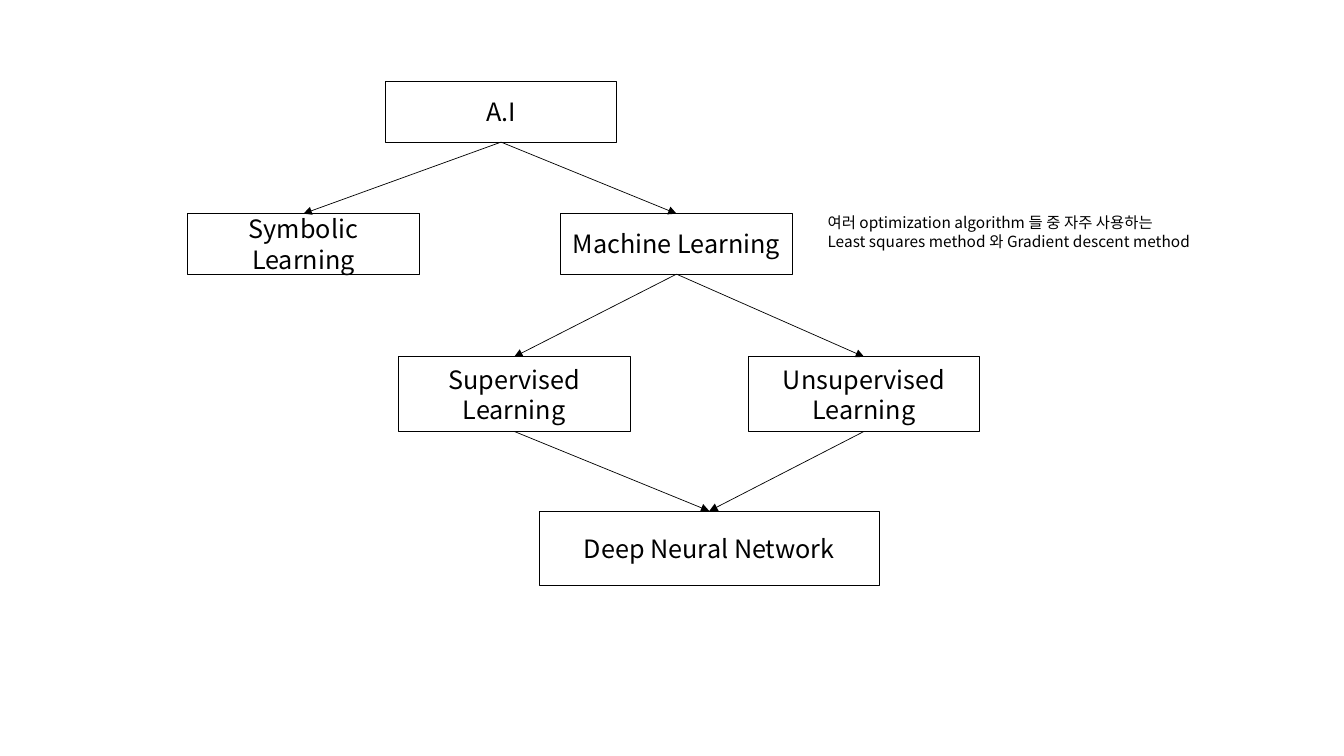
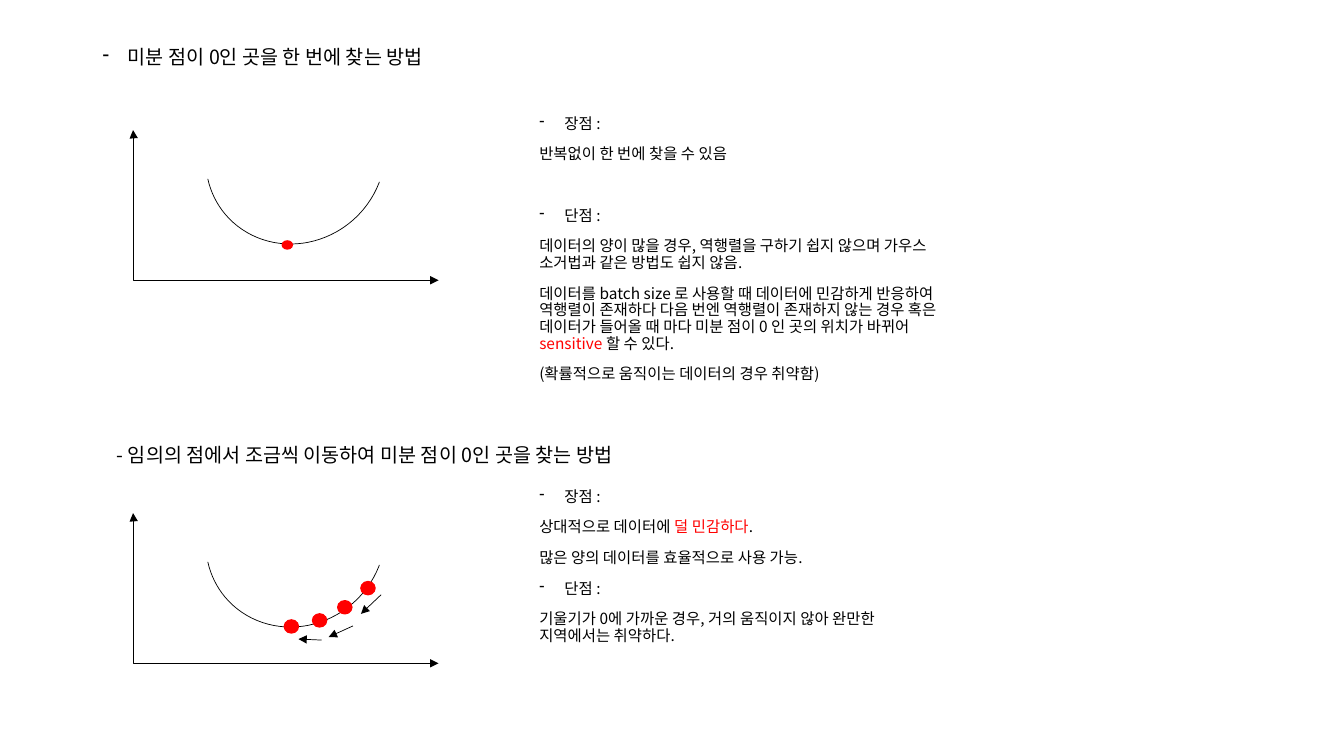
import pptx
import pptx.util
import pptx.dml.color
import pptx.enum.shapes
import pptx.enum.text
import pptx.oxml.ns
import lxml.etree

Inches, Pt = pptx.util.Inches, pptx.util.Pt
SHAPE = pptx.enum.shapes.MSO_SHAPE
CONNECTOR = pptx.enum.shapes.MSO_CONNECTOR
ALIGN, ANCHOR = pptx.enum.text.PP_ALIGN, pptx.enum.text.MSO_ANCHOR
qn = pptx.oxml.ns.qn

FONT, BLACK, RED = "Noto Sans CJK KR", "000000", "FF0000"
BODY_FORMAT = {"line_spacing": 0.9, "space_before": Pt(10)}

# Slide 1: name -> left, top, width, height
BOXES = {
    "A.I": (3.82, 0.81, 2.3, 0.6),
    "Symbolic Learning": (1.86, 2.12, 2.3, 0.6),
    "Machine Learning": (5.56, 2.12, 2.3, 0.6),
    "Supervised Learning": (3.95, 3.54, 2.3, 0.74),
    "Unsupervised Learning": (7.42, 3.54, 2.3, 0.74),
    "Deep Neural Network": (5.35, 5.07, 3.37, 0.74),
}
LINKS = [
    ("A.I", "Symbolic Learning"),
    ("A.I", "Machine Learning"),
    ("Machine Learning", "Supervised Learning"),
    ("Machine Learning", "Unsupervised Learning"),
    ("Supervised Learning", "Deep Neural Network"),
    ("Unsupervised Learning", "Deep Neural Network"),
]
NOTE = ["여러 optimization algorithm 들 중 자주 사용하는",
        "Least squares method 와 Gradient descent method"]

# Slide 2: a paragraph is a string or a list of (text, colour) runs;
# a leading BULLET makes it a dashed item
BULLET = "• "
TITLE_DIRECT = [BULLET + "미분 점이 0인 곳을 한 번에 찾는 방법"]
TITLE_STEPS = ["- 임의의 점에서 조금씩 이동하여 미분 점이 0인 곳을 찾는 방법"]
DIRECT = [
    BULLET + "장점 :",
    "반복없이 한 번에 찾을 수 있음",
    BULLET + "단점 :",
    "데이터의 양이 많을 경우, 역행렬을 구하기 쉽지 않으며 가우스 소거법과 같은 방법도 쉽지 않음.",
    [("데이터를 batch size 로 사용할 때 데이터에 민감하게 반응하여 역행렬이 존재하다 다음 번엔 "
      "역행렬이 존재하지 않는 경우 혹은 데이터가 들어올 때 마다 미분 점이 0 인 곳의 위치가 바뀌어 ", BLACK),
     ("sensitive ", RED), ("할 수 있다.", BLACK)],
    "(확률적으로 움직이는 데이터의 경우 취약함)",
]
STEPS = [
    BULLET + "장점 :",
    [("상대적으로 데이터에 ", BLACK), ("덜 민감하다", RED), (".", BLACK)],
    "많은 양의 데이터를 효율적으로 사용 가능.",
    BULLET + "단점 :",
    "기울기가 0에 가까운 경우, 거의 움직이지 않아 완만한 지역에서는 취약하다.",
]
PLOT_TOPS = [0.68, 4.48]
MINIMUM = (2.8, 2.39, 0.1, 0.08)
STEP_DOTS = [(2.82, 6.15), (3.1, 6.09), (3.35, 5.96), (3.58, 5.77)]
STEP_ARROWS = [(3.78, 5.9, 3.58, 6.09), (3.5, 6.21, 3.26, 6.32), (3.19, 6.35, 2.96, 6.34)]


def rgb(value):
    return pptx.dml.color.RGBColor.from_string(value)


def inches(values):
    return [Inches(v) for v in values]


def add_run(p, text, size, color=BLACK):
    r = p.add_run()
    r.text = text
    for name, value in {"name": FONT, "size": Pt(size)}.items():
        setattr(r.font, name, value)
    r.font.color.rgb = rgb(color)
    lxml.etree.SubElement(r.font._element, qn("a:ea"), typeface=FONT)


def add_text(slide, at, paragraphs, size, fmt):
    tf = slide.shapes.add_textbox(*inches(at)).text_frame
    tf.word_wrap = True
    for i, runs in enumerate(paragraphs):
        p = tf.paragraphs[0] if i == 0 else tf.add_paragraph()
        for name, value in fmt.items():
            setattr(p, name, value)
        if isinstance(runs, str):
            if runs.startswith(BULLET):
                runs = runs[len(BULLET):]
                pPr = p._p.get_or_add_pPr()
                pPr.set("marL", str(Inches(0.25)))
                pPr.set("indent", str(-Inches(0.25)))
                lxml.etree.SubElement(pPr, qn("a:buChar"), char="-")
            runs = [(runs, BLACK)]
        for text, color in runs:
            add_run(p, text, size, color)
    return tf


def add_shape(shapes, kind, at, line=BLACK, width=0.75, fill=None):
    sp = shapes.add_shape(kind, *inches(at))
    sp.shadow.inherit = False
    if fill:
        sp.fill.solid()
        sp.fill.fore_color.rgb = rgb(fill)
    else:
        sp.fill.background()
    sp.line.color.rgb = rgb(line)
    sp.line.width = Pt(width)
    return sp


def add_arrow(shapes, ends, kind=CONNECTOR.STRAIGHT, heads=("tailEnd",)):
    line = shapes.add_connector(kind, *inches(ends))
    line.line.color.rgb = rgb(BLACK)
    line.line.width = Pt(0.5)
    ln = line.line._get_or_add_ln()
    for head in heads:
        lxml.etree.SubElement(ln, qn("a:" + head), type="triangle")
    lxml.etree.SubElement(line._element.spPr, qn("a:effectLst"))
    return line


def add_dot(slide, at):
    add_shape(slide.shapes, SHAPE.OVAL, at, RED, 1, RED)


def add_plot(slide, top):
    """Axes with a valley-shaped curve, grouped."""
    shapes = slide.shapes.add_group_shape().shapes
    axes = add_arrow(shapes, (1.32, top + 0.61, 4.35, top + 2.1),
                     CONNECTOR.ELBOW, ("headEnd", "tailEnd"))
    # Bend right at the start, so the elbow forms the two axes
    guides = axes._element.spPr.find(qn("a:prstGeom")).get_or_add_avLst()
    lxml.etree.SubElement(guides, qn("a:gd"), name="adj1", fmla="val 200")
    arc = add_shape(shapes, SHAPE.ARC, (2.02, top, 1.82, 1.72), width=0.5)
    arc.rotation = 140
    arc.adjustments[0], arc.adjustments[1] = 142.58, 14.93


def build_tree(slide):
    boxes = {}
    for name, at in BOXES.items():
        sp = boxes[name] = add_shape(slide.shapes, SHAPE.RECTANGLE, at)
        sp.text_frame.vertical_anchor = ANCHOR.MIDDLE
        p = sp.text_frame.paragraphs[0]
        p.alignment = ALIGN.CENTER
        add_run(p, name, 18)
    for parent, child in LINKS:
        link = add_arrow(slide.shapes, (0, 0, 1, 1))
        link.begin_connect(boxes[parent], 2)
        link.end_connect(boxes[child], 0)
    add_text(slide, (8.11, 2.07, 4.03, 0.47), NOTE, 11, {})


def build_methods(slide):
    for top in PLOT_TOPS:
        add_plot(slide, top)
    add_dot(slide, MINIMUM)
    for left, top in STEP_DOTS:
        add_dot(slide, (left, top, 0.14, 0.13))
    for ends in STEP_ARROWS:
        add_arrow(slide.shapes, ends)
    # Titles and explanations
    add_text(slide, (0.92, 0.42, 4.21, 0.38), TITLE_DIRECT, 14, BODY_FORMAT)
    add_text(slide, (1.06, 4.37, 11.5, 0.31), TITLE_STEPS, 14, BODY_FORMAT)
    tf = add_text(slide, (5.25, 1.1, 4.21, 3.08), DIRECT, 11, BODY_FORMAT)
    tf.paragraphs[2].space_before = Pt(32)
    add_text(slide, (5.25, 4.8, 4.21, 2.45), STEPS, 11, BODY_FORMAT)


def main():
    prs = pptx.Presentation()
    prs.slide_width, prs.slide_height = Inches(13.33), Inches(7.5)
    for build in (build_tree, build_methods):
        build(prs.slides.add_slide(prs.slide_layouts[6]))
    prs.save("out.pptx")


if __name__ == "__main__":
    main()
